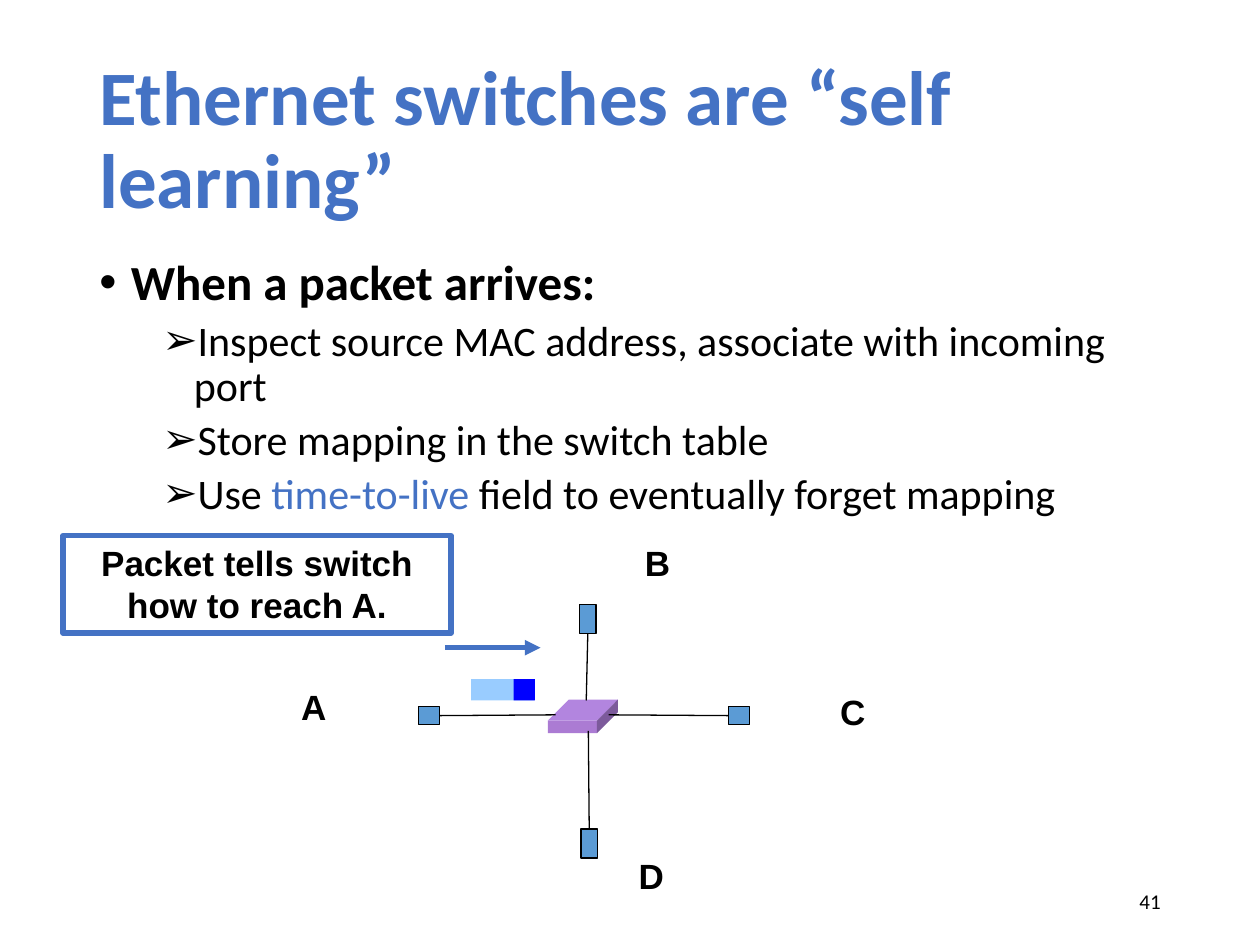
from dataclasses import dataclass
from typing import NamedTuple

from lxml import etree
from pptx import Presentation
from pptx import util as u
from pptx.dml import color
from pptx.enum import shapes, text
from pptx.oxml import ns

Pt = u.Pt
ALIGN, ANCHOR, KIND = text.PP_ALIGN, text.MSO_ANCHOR, shapes.MSO_SHAPE


@dataclass(frozen=True)
class Theme:
    body: str = "Calibri"
    label: str = "Arial"
    ink: str = "000000"
    blue: str = "4472C4"
    node: str = "5B9BD5"
    data: str = "99CCFF"
    head: str = "0000FF"
    front: str = "AB7BD3"
    top: str = "B285DF"
    side: str = "7C5A9B"
    title: int = 44
    lead: int = 28
    point: int = 24
    tag: int = 20
    page: int = 12
    thin: float = 0.75
    thick: float = 3


class Box(NamedTuple):
    x: float
    y: float
    w: float
    h: float


class Run(NamedTuple):
    words: str
    tint: str = "000000"


class Point(NamedTuple):
    runs: list[Run]
    size: int
    bold: bool
    left: float
    gap: float
    mark: str


class Host(NamedTuple):
    name: str
    box: Box
    tag: Box
    site: int
    port: tuple[float, float]


T = Theme()

POINTS = [
    Point([Run("When a packet arrives:")], T.lead, True, 18, 0, "•"),
    *(
        Point(runs, T.point, False, 54, 5, "➢")
        for runs in (
            [Run("Inspect source MAC address, associate with incoming port")],
            [Run("Store mapping in the switch table")],
            [
                Run("Use "),
                Run("time-to-live", T.blue),
                Run(" field to eventually forget mapping"),
            ],
        )
    ),
]

HOSTS = [
    Host("A", Box(239, 403.9, 12.2, 10.1), Box(164.9, 388, 28.8, 31), 3, (317.5, 408.5)),
    Host("B", Box(331.2, 345.6, 9.4, 16.6), Box(361.4, 306, 28.8, 31), 2, (335, 400.3)),
    Host("C", Box(416.2, 403.9, 12.2, 10.1), Box(473, 391, 28.8, 31), 1, (347.8, 408.5)),
    Host("D", Box(332, 473.8, 9.4, 16.6), Box(357.8, 484.6, 28.8, 31), 0, (336.2, 417.6)),
]


def pts(*nums: float) -> list[int]:
    return [Pt(n) for n in nums]


def rgb(tint: str) -> color.RGBColor:
    return color.RGBColor.from_string(tint)


def apply(item, form: dict) -> None:
    for key, value in form.items():
        setattr(item, key, value)


def write(para, run: Run, size: int, font: str, bold: bool) -> None:
    part = para.add_run()
    part.text = run.words
    apply(part.font, {"name": font, "size": Pt(size), "bold": bold})
    part.font.color.rgb = rgb(run.tint)


def frame(slide, box: Box, anchor=ANCHOR.TOP, wrap: bool = True):
    body = slide.shapes.add_textbox(*pts(*box)).text_frame
    apply(body, {"word_wrap": wrap, "vertical_anchor": anchor})
    return body


def paint(shape, fill: str | None, edge: str | None = None, width: float = T.thin) -> None:
    shape.shadow.inherit = False
    if fill:
        shape.fill.solid()
        shape.fill.fore_color.rgb = rgb(fill)
    else:
        shape.fill.background()
    if edge:
        shape.line.color.rgb = rgb(edge)
        shape.line.width = Pt(width)
    else:
        shape.line.fill.background()


def block(slide, box: Box, fill: str | None, edge: str | None = None, width: float = T.thin):
    shape = slide.shapes.add_shape(KIND.RECTANGLE, *pts(*box))
    paint(shape, fill, edge, width)
    return shape


def face(slide, dots: list[tuple[float, float]], fill: str) -> None:
    path = slide.shapes.build_freeform(*pts(*dots[0]))
    path.add_line_segments([tuple(pts(*dot)) for dot in dots[1:]], close=True)
    paint(path.convert_to_shape(), fill)


def wire(slide, start: tuple, end: tuple, tint: str, width: float):
    line = slide.shapes.add_connector(shapes.MSO_CONNECTOR.STRAIGHT, *pts(*start, *end))
    line.line.color.rgb = rgb(tint)
    line.line.width = Pt(width)
    etree.SubElement(line._element.spPr, ns.qn("a:effectLst"))
    return line


def bullet(para, point: Point) -> None:
    prop = para._p.get_or_add_pPr()
    apply_xml = {"marL": str(Pt(point.left)), "indent": str(Pt(-18))}
    for key, value in apply_xml.items():
        prop.set(key, value)
    etree.SubElement(prop, ns.qn("a:buFont")).set("typeface", T.label)
    etree.SubElement(prop, ns.qn("a:buChar")).set("char", point.mark)
    apply(para, {"line_spacing": 0.9, "space_before": Pt(point.gap)})


def outline(slide) -> None:
    para = frame(slide, Box(49.7, 28.8, 620.6, 104.4), ANCHOR.MIDDLE).paragraphs[0]
    para.line_spacing = 0.9
    write(para, Run("Ethernet switches are “self learning”", T.blue), T.title, T.body, True)
    body = frame(slide, Box(49.7, 144, 620.6, 342.7))
    for rank, point in enumerate(POINTS):
        para = body.add_paragraph() if rank else body.paragraphs[0]
        bullet(para, point)
        for run in point.runs:
            write(para, run, point.size, T.body, point.bold)


def switch(slide, box: Box, deep: float) -> None:
    x, y, w, h = box
    right, base = x + w, y + h
    block(slide, box, T.front)
    face(slide, [(x, y), (x + deep, y - deep), (right + deep, y - deep), (right, y)], T.top)
    face(slide, [(right, y), (right + deep, y - deep), (right + deep, base - deep), (right, base)], T.side)


def host(slide, item: Host) -> None:
    node = block(slide, item.box, T.node, T.ink)
    line = wire(slide, item.box[:2], item.port, T.ink, T.thin)
    line.begin_connect(node, item.site)
    para = frame(slide, item.tag, wrap=False).paragraphs[0]
    para.alignment = ALIGN.CENTER
    write(para, Run(item.name), T.tag, T.label, True)


def packet(slide) -> None:
    block(slide, Box(269.3, 388.1, 36, 12.2), T.data)
    block(slide, Box(293.5, 388.1, 12.2, 12.2), T.head)
    note = block(slide, Box(36, 306, 221.8, 55.8), None, T.blue, T.thick).text_frame
    apply(note, {"word_wrap": True, "vertical_anchor": ANCHOR.TOP})
    para = note.paragraphs[0]
    para.alignment = ALIGN.CENTER
    write(para, Run("Packet tells switch how to reach A."), T.tag, T.label, True)
    arrow = wire(slide, (254.2, 370.1), (308.9, 370.1), T.blue, T.thick)
    etree.SubElement(arrow.line._get_or_add_ln(), ns.qn("a:tailEnd")).set("type", "triangle")


def main() -> None:
    deck = Presentation()
    apply(deck, {"slide_width": Pt(720), "slide_height": Pt(540)})
    slide = deck.slides.add_slide(deck.slide_layouts[6])
    outline(slide)
    switch(slide, Box(313, 411.8, 28.1, 7.2), 12)
    for item in HOSTS:
        host(slide, item)
    packet(slide)
    para = frame(slide, Box(508.3, 500.4, 162, 28.8), ANCHOR.MIDDLE).paragraphs[0]
    para.alignment = ALIGN.RIGHT
    write(para, Run("41"), T.page, T.body, False)
    deck.save("out.pptx")


if __name__ == "__main__":
    main()
